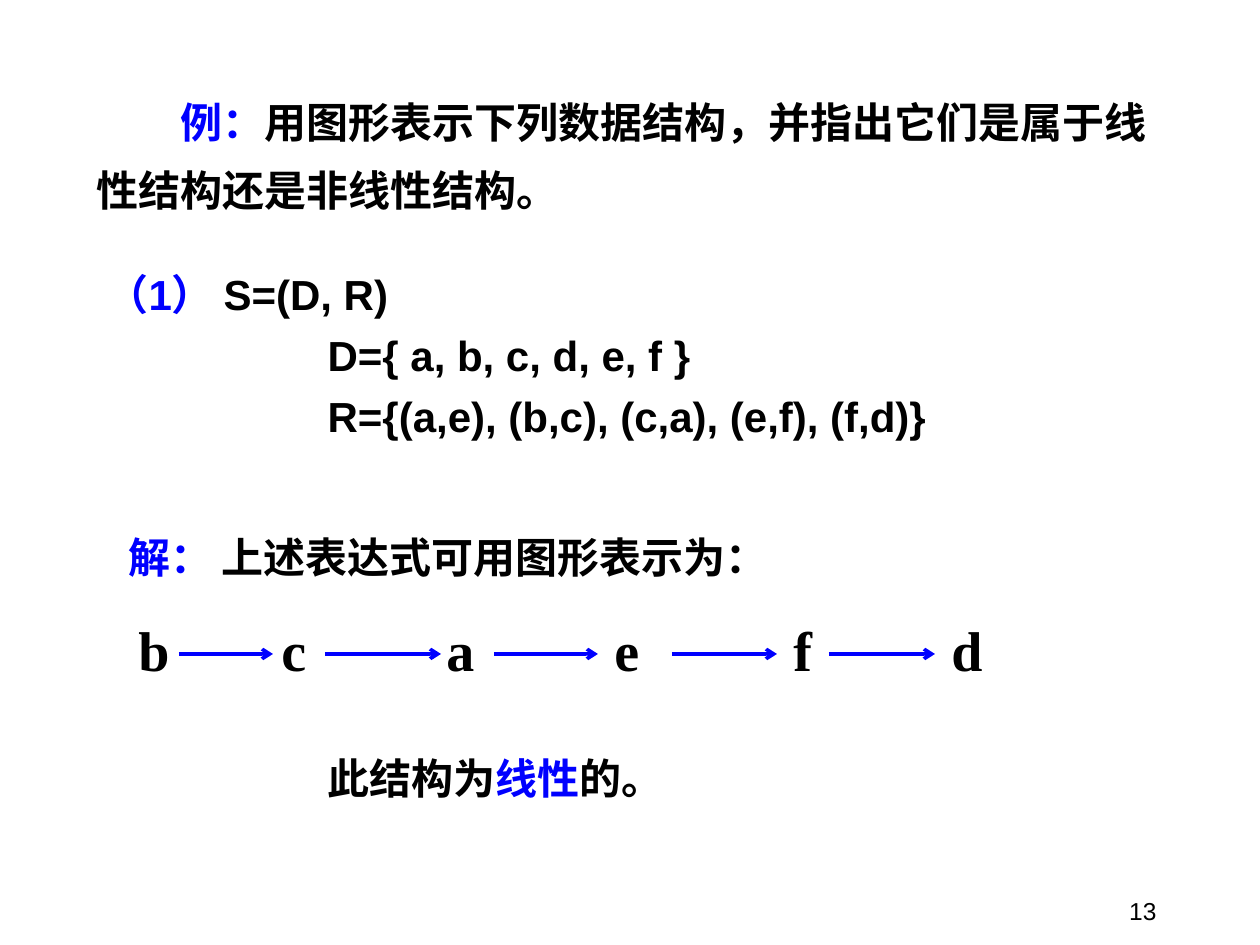
"""Build a slide that draws a data structure as a chain and names it linear."""
from dataclasses import dataclass

from lxml.etree import SubElement
from pptx import Presentation
from pptx.dml.color import RGBColor
from pptx.enum.shapes import MSO_CONNECTOR as Connector
from pptx.enum.text import MSO_ANCHOR as Anchor, MSO_AUTO_SIZE as AutoSize, PP_ALIGN as Align
from pptx.oxml.ns import qn
from pptx.util import Emu, Pt


@dataclass(frozen=True)
class Theme:
    ink: RGBColor = RGBColor(0, 0, 0)
    accent: RGBColor = RGBColor(0, 0, 255)
    heading_font: str = "Montserrat"
    formula_font: str = "Arial"
    text_font: str = "Times New Roman"
    text_size: int = 24
    node_size: int = 32
    number_size: int = 14
    arrow_width: int = 2


THEME = Theme()
INK, ACCENT = THEME.ink, THEME.accent

QUESTION = [("例：", ACCENT), ("用图形表示下列数据结构，并指出它们是属于线性结构还是非线性结构。", INK)]
DEFINITION = [
    (0, [("（1） ", ACCENT), ("S=(D, R)", INK)]),
    (221, [("D={ a, b, c, d, e, f }", INK)]),
    (221, [("R={(a,e), (b,c), (c,a), (e,f), (f,d)}", INK)]),
]
SOLUTION = [("解：", ACCENT), (" 上述表达式可用图形表示为：", INK)]
CHAIN = [("b", 126), ("c", 269), ("a", 434), ("e", 602), ("f", 781), ("d", 939)]
ARROW_SPANS = [(179, 273), (325, 441), (494, 598), (672, 777), (829, 935)]
ARROW_Y = 654
CONCLUSION = [("此结构为", INK), ("线性", ACCENT), ("的。", INK)]
PAGE_NUMBER = [("13", INK)]


def px(length):
    return Emu(round(length * 914400 / 126))


def place(shape, left, top, width, height, anchor=Anchor.TOP):
    shape.left, shape.top, shape.width, shape.height = map(px, (left, top, width, height))
    frame = shape.text_frame
    frame.word_wrap = True
    frame.auto_size = AutoSize.NONE
    frame.vertical_anchor = anchor
    return frame


def add_box(slide, *bounds, **options):
    return place(slide.shapes.add_textbox(0, 0, 0, 0), *bounds, **options)


def write(paragraph, runs, font, size=THEME.text_size, bold=True, align=Align.LEFT,
          before=0, line=1.0, margin=0, first=0):
    paragraph.alignment = align
    paragraph.space_before = Pt(before)
    paragraph.line_spacing = line
    properties = paragraph._p.get_or_add_pPr()
    properties.set("marL", str(px(margin)))
    properties.set("indent", str(px(first)))
    SubElement(properties, qn("a:buNone"))
    for text, color in runs:
        run = paragraph.add_run()
        run.text = text
        run.font.name = font
        run.font.size = Pt(size)
        run.font.bold = bold
        run.font.color.rgb = color


def add_arrow(slide, start, end):
    arrow = slide.shapes.add_connector(
        Connector.STRAIGHT, px(start), px(ARROW_Y), px(end), px(ARROW_Y))
    arrow.line.color.rgb = ACCENT
    arrow.line.width = Pt(THEME.arrow_width)
    SubElement(arrow.line._get_or_add_ln(), qn("a:tailEnd"), type="arrow")
    SubElement(arrow._element.spPr, qn("a:effectLst"))


def main():
    presentation = Presentation()
    presentation.slide_width, presentation.slide_height = px(1260), px(945)
    slide = presentation.slides.add_slide(presentation.slide_layouts[1])

    question = place(slide.shapes.title, 84, 73, 1081, 149)
    write(question.paragraphs[0], QUESTION, THEME.heading_font, line=1.35, first=84)

    definition = place(slide.placeholders[1], 94, 262, 1071, 252)
    for index, (margin, runs) in enumerate(DEFINITION):
        paragraph = definition.add_paragraph() if index else definition.paragraphs[0]
        write(paragraph, runs, THEME.formula_font, before=6, margin=margin)

    solution = add_box(slide, 116, 525, 955, 63)
    write(solution.paragraphs[0], SOLUTION, THEME.text_font, before=15)

    for letter, left in CHAIN:
        node = add_box(slide, left, 609, 63, 81)
        write(node.paragraphs[0], [(letter, INK)], THEME.text_font,
              size=THEME.node_size, before=20)
    for start, end in ARROW_SPANS:
        add_arrow(slide, start, end)

    conclusion = add_box(slide, 315, 746, 630, 63)
    write(conclusion.paragraphs[0], CONCLUSION, THEME.text_font, before=15)

    number = add_box(slide, 907, 869, 262, 63, anchor=Anchor.BOTTOM)
    write(number.paragraphs[0], PAGE_NUMBER, THEME.formula_font,
          size=THEME.number_size, bold=False, align=Align.RIGHT)

    presentation.save("out.pptx")


if __name__ == "__main__":
    main()
